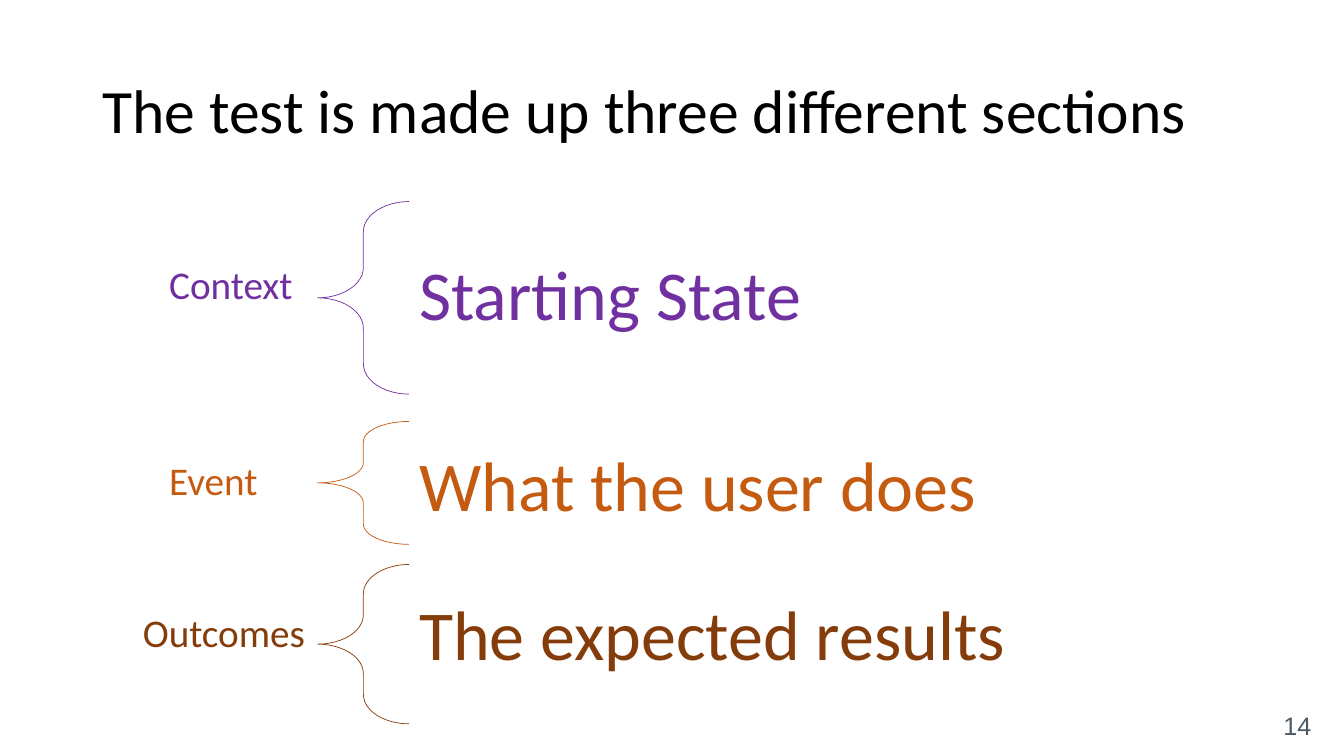
from pptx import Presentation
from pptx.dml.color import RGBColor
from pptx.enum.shapes import MSO_SHAPE
from pptx.enum.text import MSO_ANCHOR, PP_ALIGN
from pptx.util import Pt

LEFT_BRACE = MSO_SHAPE.LEFT_BRACE
MIDDLE, TOP = MSO_ANCHOR.MIDDLE, MSO_ANCHOR.TOP
LEFT, RIGHT = PP_ALIGN.LEFT, PP_ALIGN.RIGHT

TITLE_ONLY = 5
COLORS = {
    "title": "000000",
    "context": "7030A0",
    "event": "C55A11",
    "outcomes": "843C0B",
    "number": "495965",
}
BRACE_LEFT, BRACE_WIDTH = 226.8, 65.5

# label, color, label left, label top, brace top, brace height, brace curvature
SECTIONS = [
    ("Context", "context", 113.8, 152.6, 144, 137.5, 0.33),
    ("Event", "event", 113.8, 292.3, 301, 87.8, 0.22),
    ("Outcomes", "outcomes", 95, 401, 403.2, 113.8, 0.32),
]
# text, color, space before
STATEMENTS = [
    ("Starting State", "context", 0),
    ("What the user does", "event", 82),
    ("The expected results", "outcomes", 52.5),
]


def style_paragraph(paragraph, size, color, font="Calibri", align=LEFT):
    paragraph.alignment = align
    paragraph.line_spacing = 0.9
    paragraph.font.name = font
    paragraph.font.size = Pt(size)
    paragraph.font.color.rgb = RGBColor.from_string(COLORS[color])


def add_text_frame(slide, left, top, width, height, inset_left=7.2, inset_top=0, anchor=TOP):
    box = slide.shapes.add_textbox(Pt(left), Pt(top), Pt(width), Pt(height))
    frame = box.text_frame
    frame.word_wrap = True
    frame.vertical_anchor = anchor
    frame.margin_left, frame.margin_top = Pt(inset_left), Pt(inset_top)
    frame.margin_right = frame.margin_bottom = 0
    return frame


def set_title(slide, text):
    title = slide.shapes.title
    title.left, title.top, title.width, title.height = Pt(66), Pt(28.8), Pt(828), Pt(104.4)
    title.text_frame.text = text
    title.text_frame.vertical_anchor = MIDDLE
    style_paragraph(title.text_frame.paragraphs[0], 44, "title")


def add_brace(slide, top, height, curvature, color):
    brace = slide.shapes.add_shape(
        LEFT_BRACE, Pt(BRACE_LEFT), Pt(top), Pt(BRACE_WIDTH), Pt(height))
    brace.adjustments[0] = curvature
    brace.shadow.inherit = False
    brace.fill.background()
    brace.line.color.rgb = RGBColor.from_string(COLORS[color])
    brace.line.width = Pt(0.5)


def add_label(slide, text, left, top, color):
    """Add a section name in a box that ends at the brace."""
    frame = add_text_frame(slide, left, top, BRACE_LEFT - left, 103, inset_top=44.3)
    frame.text = text
    style_paragraph(frame.paragraphs[0], 28, color)


def add_statements(slide):
    frame = add_text_frame(slide, 292.3, 144, 602, 375.8, inset_top=42)
    for index, (text, color, space) in enumerate(STATEMENTS):
        paragraph = frame.add_paragraph() if index else frame.paragraphs[0]
        paragraph.text = text
        style_paragraph(paragraph, 50, color)
        paragraph.space_before = Pt(space)


def add_slide_number(slide, number):
    frame = add_text_frame(slide, 863.3, 499.7, 73.4, 40.3, inset_left=0, anchor=MIDDLE)
    frame.text = number
    style_paragraph(frame.paragraphs[0], 18, "number", "Arial", RIGHT)


def main():
    presentation = Presentation()
    presentation.slide_width, presentation.slide_height = Pt(960), Pt(540)
    slide = presentation.slides.add_slide(presentation.slide_layouts[TITLE_ONLY])
    set_title(slide, "The test is made up three different sections")
    add_statements(slide)
    for label, color, left, top, brace_top, brace_height, curvature in SECTIONS:
        add_brace(slide, brace_top, brace_height, curvature, color)
        add_label(slide, label, left, top, color)
    add_slide_number(slide, "14")
    presentation.save("out.pptx")


if __name__ == "__main__":
    main()
